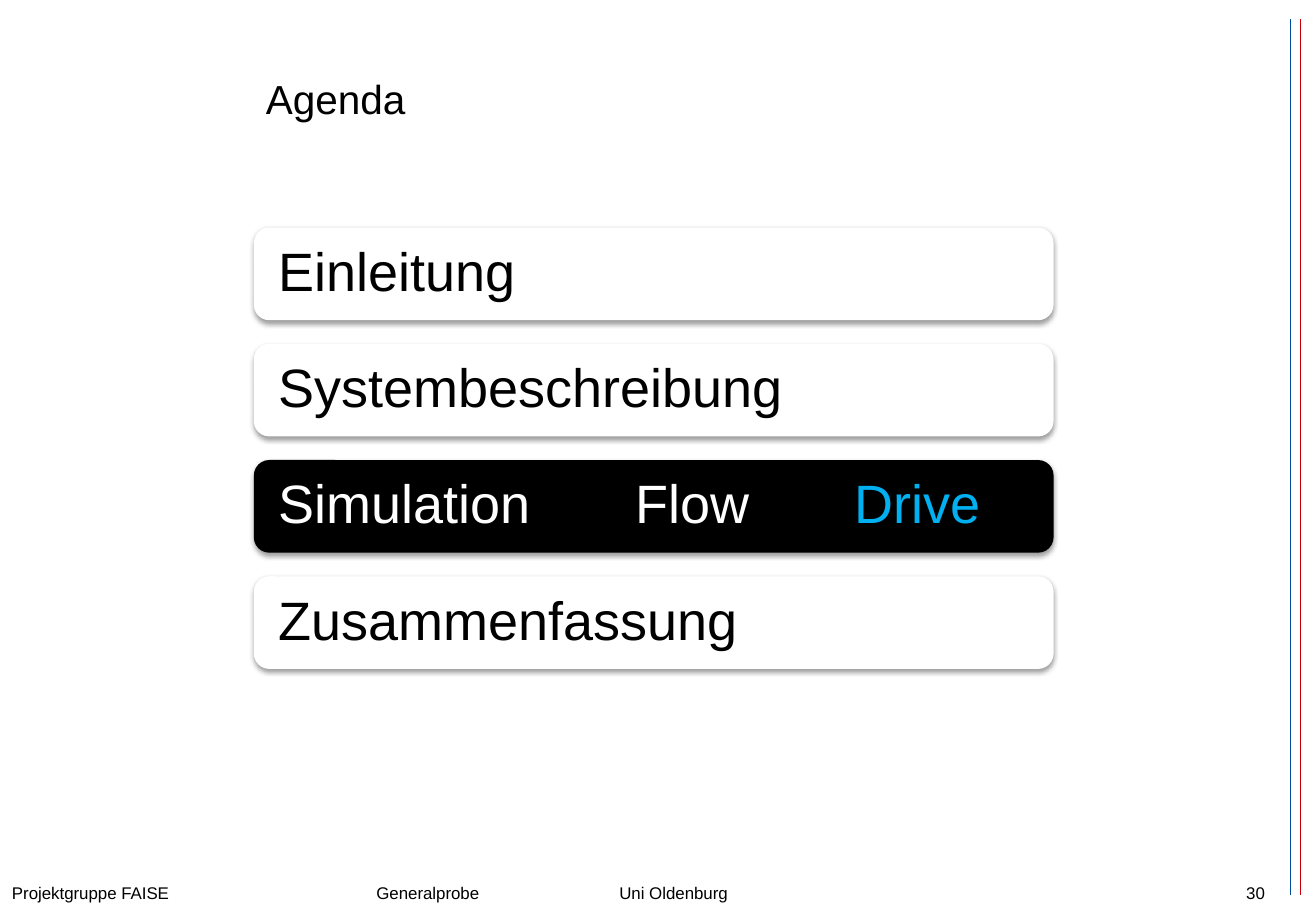
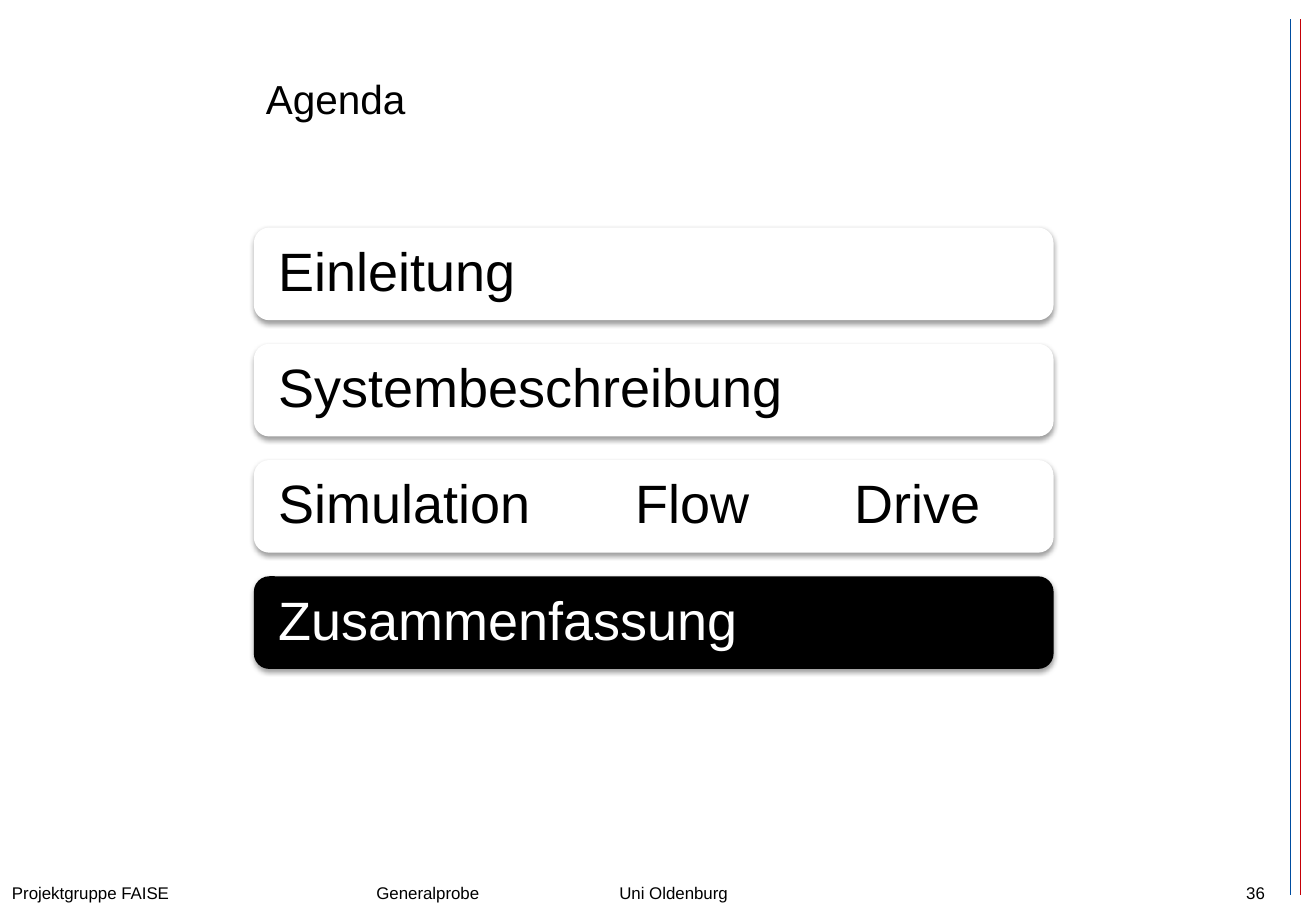
import dataclasses

import lxml.etree
import pptx
import pptx.dml.color
import pptx.enum.shapes
import pptx.enum.text
import pptx.oxml.ns
import pptx.util

Pt = pptx.util.Pt
qn = pptx.oxml.ns.qn
Align = pptx.enum.text.PP_ALIGN
Anchor = pptx.enum.text.MSO_ANCHOR


@dataclasses.dataclass(frozen=True)
class Theme:
    font: str = "Arial"
    black: str = "000000"
    white: str = "FFFFFF"
    highlight: str = "00B0F0"
    rule_red: str = "C50007"
    rule_blue: str = "004CA0"
    title_size: float = 24
    entry_size: float = 32
    footer_size: float = 10


@dataclasses.dataclass(frozen=True)
class Box:
    left: float
    top: float
    width: float
    height: float

    def lengths(self):
        return [Pt(value) for value in (self.left, self.top, self.width, self.height)]


THEME = Theme()
SLIDE = Box(0, 0, 780, 540)
TITLE = Box(150.5, 21.6, 590.4, 72.7)
AGENDA = Box(150.5, 134.9, 474, 261.6)
FOOTER = Box(0, 519.8, 733.7, 20.2)
NUMBER = Box(574.6, 519.8, 182.2, 17.3)
RULES = Box(764.6, 11.5, 5.8, 519.1)
ENTRY_GAP = 14
ENTRY_INSET = 12.2
ENTRY_TABS = (211.6, 341.4)
FOOTER_TABS = (216, 360)
ENTRIES = ("Einleitung", "Systembeschreibung", "Simulation\tFlow\tDrive", "Zusammenfassung")


def color(value):
    return pptx.dml.color.RGBColor.from_string(value)


def write(shape, runs, size, align=Align.LEFT, anchor=Anchor.TOP, tabs=(), line_spacing=None):
    frame = shape.text_frame
    frame.word_wrap = True
    frame.vertical_anchor = anchor
    paragraph = frame.paragraphs[0]
    paragraph.alignment = align
    if line_spacing:
        paragraph.line_spacing = line_spacing
    if tabs:
        properties = paragraph._p.get_or_add_pPr()
        tab_list = lxml.etree.SubElement(properties, qn("a:tabLst"))
        for position in tabs:
            lxml.etree.SubElement(tab_list, qn("a:tab"), pos=str(Pt(position)), algn="l")
    for text, text_color in runs:
        run = paragraph.add_run()
        run.text = text
        run.font.name = THEME.font
        run.font.size = Pt(size)
        run.font.color.rgb = color(text_color)


def add_text(slide, box, text, size, **options):
    shape = slide.shapes.add_textbox(*box.lengths())
    write(shape, [(text, THEME.black)], size, **options)


def add_rules(slide, box):
    bottom = box.top + box.height
    for left, line_color in ((box.left + box.width, THEME.rule_red), (box.left, THEME.rule_blue)):
        connector = slide.shapes.add_connector(
            pptx.enum.shapes.MSO_CONNECTOR.STRAIGHT, Pt(left), Pt(box.top), Pt(left), Pt(bottom))
        connector.line.color.rgb = color(line_color)
        connector.line.width = Pt(0.25)
        lxml.etree.SubElement(connector._element.spPr, qn("a:effectLst"))


def add_drop_shadow(shape):
    shape.shadow.inherit = False
    effects = shape._element.spPr.find(qn("a:effectLst"))
    shadow = lxml.etree.SubElement(
        effects, qn("a:outerShdw"), blurRad=str(Pt(3.1)), dist=str(Pt(1.6)),
        dir="5400000", rotWithShape="0")
    shade = lxml.etree.SubElement(shadow, qn("a:srgbClr"), val=THEME.black)
    lxml.etree.SubElement(shade, qn("a:alpha"), val="38000")


def add_entry(slide, box, runs, fill):
    shape = slide.shapes.add_shape(
        pptx.enum.shapes.MSO_SHAPE.ROUNDED_RECTANGLE, *box.lengths())
    shape.fill.solid()
    shape.fill.fore_color.rgb = color(fill)
    shape.line.fill.background()
    add_drop_shadow(shape)
    shape.text_frame.margin_left = shape.text_frame.margin_right = Pt(ENTRY_INSET)
    write(shape, runs, THEME.entry_size, anchor=Anchor.MIDDLE,
          tabs=ENTRY_TABS if "\t" in runs[0][0] else (), line_spacing=0.9)


def add_agenda(slide, box, active, highlighted):
    height = (box.height - ENTRY_GAP * (len(ENTRIES) - 1)) / len(ENTRIES)
    for index, entry in enumerate(ENTRIES):
        fill, text_color = THEME.white, THEME.black
        if index == active:
            fill, text_color = text_color, fill
        runs = [(entry, text_color)]
        if index == active and highlighted:
            start = entry.index(highlighted)
            runs = [(entry[:start], text_color), (highlighted, THEME.highlight)]
        top = box.top + index * (height + ENTRY_GAP)
        add_entry(slide, Box(box.left, top, box.width, height), runs, fill)


def add_agenda_slide(presentation, number, active, highlighted=None):
    slide = presentation.slides.add_slide(presentation.slide_layouts[6])
    add_rules(slide, RULES)
    add_text(slide, TITLE, "Agenda", THEME.title_size, anchor=Anchor.MIDDLE)
    add_text(slide, NUMBER, str(number), THEME.footer_size, align=Align.RIGHT)
    add_text(slide, FOOTER, "Projektgruppe FAISE\tGeneralprobe\tUni Oldenburg",
             THEME.footer_size, tabs=FOOTER_TABS)
    add_agenda(slide, AGENDA, active, highlighted)


def main():
    presentation = pptx.Presentation()
    presentation.slide_width = Pt(SLIDE.width)
    presentation.slide_height = Pt(SLIDE.height)
    add_agenda_slide(presentation, 30, active=2, highlighted="Drive")
    add_agenda_slide(presentation, 36, active=3)
    presentation.save("out.pptx")


if __name__ == "__main__":
    main()
